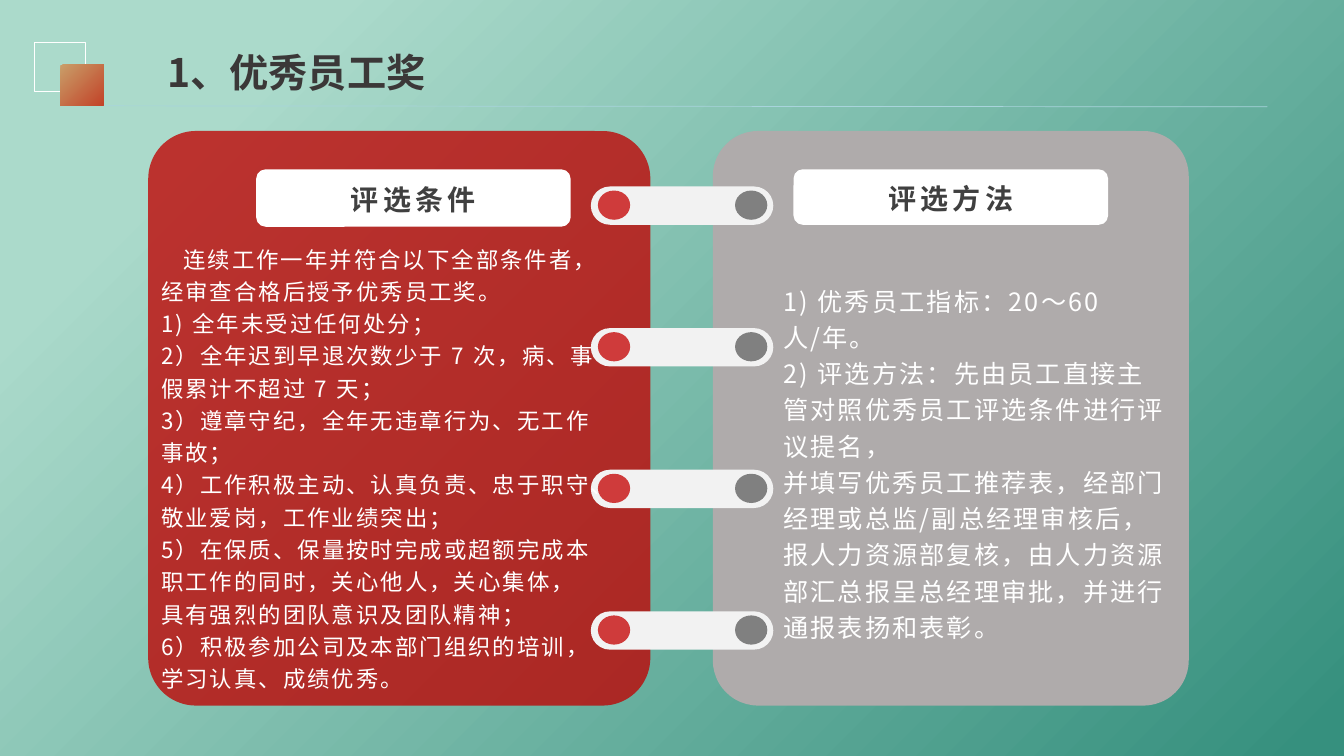
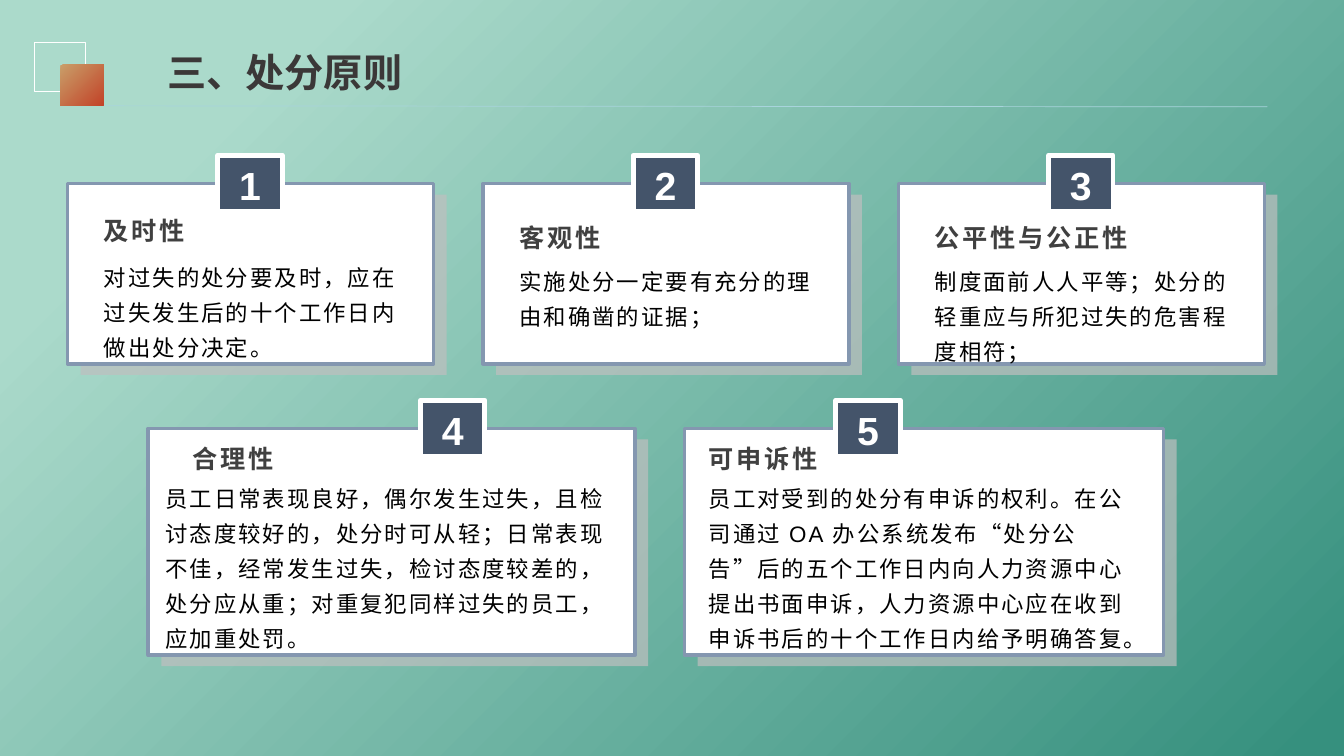
from lxml import etree
from pptx import Presentation
from pptx import util as u
from pptx.dml.color import RGBColor
from pptx.enum import lang, shapes, text
from pptx.oxml import ns

MINT = RGBColor(0xAB, 0xDA, 0xCB)
PINE = RGBColor(0x36, 0x90, 0x7E)
SAND = RGBColor(0xC9, 0x9E, 0x69)
RUST = RGBColor(0xC2, 0x43, 0x28)
PALE = RGBColor(0xA8, 0xD4, 0xDC)
WHITE = RGBColor(0xFF, 0xFF, 0xFF)
BLACK = RGBColor(0, 0, 0)
INK = RGBColor(0x3B, 0x38, 0x38)
DARK = RGBColor(0x40, 0x40, 0x40)
RED = RGBColor(0xC0, 0, 0)
ROSE = RGBColor(0xCF, 0x3B, 0x3B)
GRAY = RGBColor(0xAF, 0xAB, 0xAB)
STONE = RGBColor(0x80, 0x80, 0x80)
SMOKE = RGBColor(0xF2, 0xF2, 0xF2)
SHADE = RGBColor(0xBF, 0xBF, 0xBF)
NAVY = RGBColor(0x44, 0x54, 0x6A)
STEEL = RGBColor(0x84, 0x97, 0xB0)
NOTO = "Noto Sans CJK SC"
FORM = shapes.MSO_SHAPE
LEFT = text.PP_ALIGN.LEFT
MID = text.PP_ALIGN.CENTER
TOP = text.MSO_ANCHOR.TOP
HALF = text.MSO_ANCHOR.MIDDLE


def draw(slide, form, area, fill=None, line=None, width=1, alpha=None):
    item = slide.shapes.add_shape(form, *map(u.Inches, area))
    item.shadow.inherit = False
    if fill is None:
        item.fill.background()
    else:
        item.fill.solid()
        item.fill.fore_color.rgb = fill
    if alpha:
        tint = item.fill._xPr.find(".//" + ns.qn("a:srgbClr"))
        etree.SubElement(tint, ns.qn("a:alpha"), val=str(alpha * 1000))
    if line is None:
        item.line.fill.background()
    else:
        item.line.color.rgb = line
        item.line.width = u.Pt(width)
    return item


def write(item, lines, size, color, font=NOTO, bold=False, track=0,
          align=LEFT, anchor=HALF, space=None, pads=(0.1, 0.05, 0.1, 0.05)):
    frame = item.text_frame
    frame.word_wrap = True
    frame.auto_size = text.MSO_AUTO_SIZE.NONE
    frame.vertical_anchor = anchor
    (frame.margin_left, frame.margin_top,
     frame.margin_right, frame.margin_bottom) = map(u.Inches, pads)
    for i, words in enumerate(lines):
        para = frame.add_paragraph() if i else frame.paragraphs[0]
        para.alignment = align
        para.line_spacing = space
        run = para.add_run()
        run.text = words
        run.font.size = u.Pt(size)
        run.font.bold = bold
        run.font.color.rgb = color
        run.font.name = font
        run.font.language_id = lang.MSO_LANGUAGE_ID.SIMPLIFIED_CHINESE
        props = run._r.get_or_add_rPr()
        props.set("spc", str(int(track * 100)))
        etree.SubElement(props, ns.qn("a:ea"), typeface=NOTO)


deck = Presentation()
deck.slide_width = u.Inches(13.33)
deck.slide_height = u.Inches(7.5)
back = deck.slide_master.background.fill
back.gradient()
back.gradient_angle = 315
for stop, color, place in zip(back.gradient_stops, (MINT, PINE), (0.16, 0.98)):
    stop.color.rgb = color
    stop.position = place

pages = []
for name in ("1、优秀员工奖", "三、处分原则"):
    page = deck.slides.add_slide(deck.slide_layouts[5])
    draw(page, FORM.RECTANGLE, (0.34, 0.42, 0.51, 0.49), line=WHITE)
    block = draw(page, FORM.RECTANGLE, (0.6, 0.64, 0.43, 0.41), RUST)
    block.fill.gradient()
    block.fill.gradient_angle = 315
    for stop, color, place in zip(block.fill.gradient_stops, (SAND, RUST), (0, 1)):
        stop.color.rgb = color
        stop.position = place
    rule = page.shapes.add_connector(
        shapes.MSO_CONNECTOR.STRAIGHT,
        *map(u.Inches, (1.03, 1.05, 12.57, 1.06)))
    rule.line.color.rgb = PALE
    rule.line.width = u.Pt(0.5)
    etree.SubElement(rule._element.spPr, ns.qn("a:effectLst"))
    title = page.shapes.title
    title.left, title.top, title.width, title.height = map(
        u.Inches, (1.56, 0.43, 5, 0.57))
    write(title, [name], 28, INK, bold=True)
    pages.append(page)

award, rules = pages

for area, color, alpha in (
    ((1.47, 1.3, 4.98, 5.7), RED, 77),
    ((7.07, 1.3, 4.72, 5.7), GRAY, None),
):
    panel = draw(award, FORM.ROUNDED_RECTANGLE, area, color, alpha=alpha)
    panel.adjustments[0] = 0.095

for i in range(4):
    y = 1.85 + i * 1.405
    link = draw(award, FORM.ROUNDED_RECTANGLE, (5.86, y, 1.81, 0.38), SMOKE)
    link.adjustments[0] = 0.5
    for x, color in ((5.93, ROSE), (7.29, STONE)):
        draw(award, FORM.OVAL, (x, y + 0.04, 0.32, 0.29), color)

terms = [
    "连续工作一年并符合以下全部条件者，经审查合格后授予优秀员工奖。",
    "1) 全年未受过任何处分；",
    "2）全年迟到早退次数少于 7 次，病、事假累计不超过 7 天；",
    "3）遵章守纪，全年无违章行为、无工作事故；",
    "4）工作积极主动、认真负责、忠于职守、敬业爱岗，工作业绩突出；",
    "5）在保质、保量按时完成或超额完成本职工作的同时，关心他人，关心集体，具有强烈的团队意识及团队精神；",
    "6）积极参加公司及本部门组织的培训，学习认真、成绩优秀。",
]
steps = [
    "1) 优秀员工指标：20～60 人/年。",
    "2) 评选方法：先由员工直接主管对照优秀员工评选条件进行评议提名，",
    "并填写优秀员工推荐表，经部门经理或总监/副总经理审核后，报人力资源部复核，由人力资源部汇总报呈总经理审批，并进行通报表扬和表彰。",
]
for head, spot, lines, area, size, space in (
    ("评选条件", (2.54, 1.68, 3.12, 0.57), terms, (1.5, 2.23, 4.51, 4.79), 16, 23.04),
    ("评选方法", (7.87, 1.68, 3.12, 0.55), steps, (7.67, 2.58, 3.99, 3.99), 18, 25.92),
):
    body = award.shapes.add_textbox(*map(u.Inches, area))
    write(body, lines, size, WHITE, track=1.5, space=u.Pt(space))
    if lines is terms:
        lead = body.text_frame.paragraphs[0]._p.get_or_add_pPr()
        lead.set("indent", str(u.Inches(0.22)))
    label = draw(award, FORM.ROUNDED_RECTANGLE, spot, WHITE)
    write(label, [head], 20, DARK, bold=True, track=3, align=MID, space=1.1)

STEP = 4.12
cards = [
    ("及时性", "对过失的处分要及时，应在过失发生后的十个工作日内做出处分决定。",
     (0.67, 1.82, 3.63, 1.79), 2.16, (0.92, 2.1), (0.92, 2.54, 3.12, 1.07)),
    ("客观性", "实施处分一定要有充分的理由和确凿的证据；",
     (0.67 + STEP, 1.82, 3.63, 1.79), 2.16 + STEP,
     (0.92 + STEP, 2.17), (0.92 + STEP, 2.58, 3.12, 0.63)),
    ("公平性与公正性", "制度面前人人平等；处分的轻重应与所犯过失的危害程度相符；",
     (0.67 + 2 * STEP, 1.82, 3.63, 1.79), 2.16 + 2 * STEP,
     (0.92 + 2 * STEP, 2.17), (0.92 + 2 * STEP, 2.58, 3.12, 0.63)),
    ("合理性", "员工日常表现良好，偶尔发生过失，且检讨态度较好的，处分时可从轻；日常表现不佳，经常发生过失，检讨态度较差的，处分应从重；对重复犯同样过失的员工，应加重处罚。",
     (1.47, 4.25, 4.83, 2.25), 4.17, (1.8, 4.36), (1.53, 4.73, 4.71, 1.93)),
    ("可申诉性", "员工对受到的处分有申诉的权利。在公司通过 OA 办公系统发布“处分公告”后的五个工作日内向人力资源中心提出书面申诉，人力资源中心应在收到申诉书后的十个工作日内给予明确答复。",
     (6.79, 4.25, 4.75, 2.25), 4.17 + STEP, (6.92, 4.36), (6.92, 4.73, 4.54, 1.6)),
]
for i, (head, words, area, mark, spot, zone) in enumerate(cards, 1):
    x, y, w, h = area
    draw(rules, FORM.RECTANGLE, (x + 0.13, y + 0.11, w, h), SHADE, alpha=70)
    draw(rules, FORM.RECTANGLE, area, WHITE, STEEL, 2.5)
    badge = draw(rules, FORM.RECTANGLE, (mark, y - 0.28, 0.64, 0.56),
                 NAVY, WHITE, 3.5)
    write(badge, [str(i)], 28, WHITE, "Arial", True, align=MID,
          pads=(0, 0.03, 0, 0))
    body = rules.shapes.add_textbox(*map(u.Inches, zone))
    write(body, [words], 16, BLACK, "Arial", track=1.5, anchor=TOP,
          space=u.Pt(24.96), pads=(0.11, 0, 0.09, 0))
    label = rules.shapes.add_textbox(*map(u.Inches, (*spot, 3.12, 0.37)))
    write(label, [head], 18, DARK, "Arial", True, 2,
          pads=(0.11, 0.04, 0.08, 0.04))

deck.save("out.pptx")
